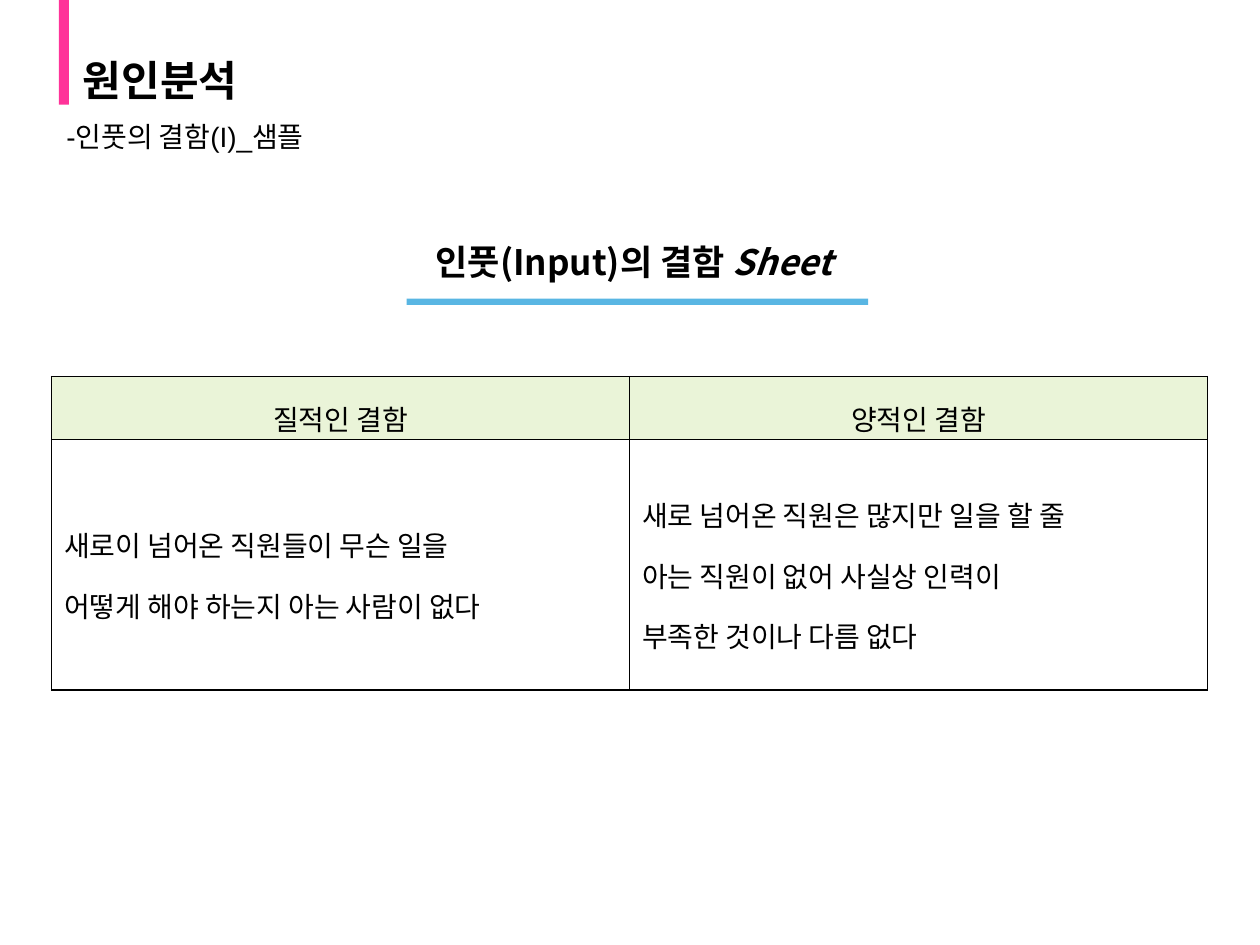
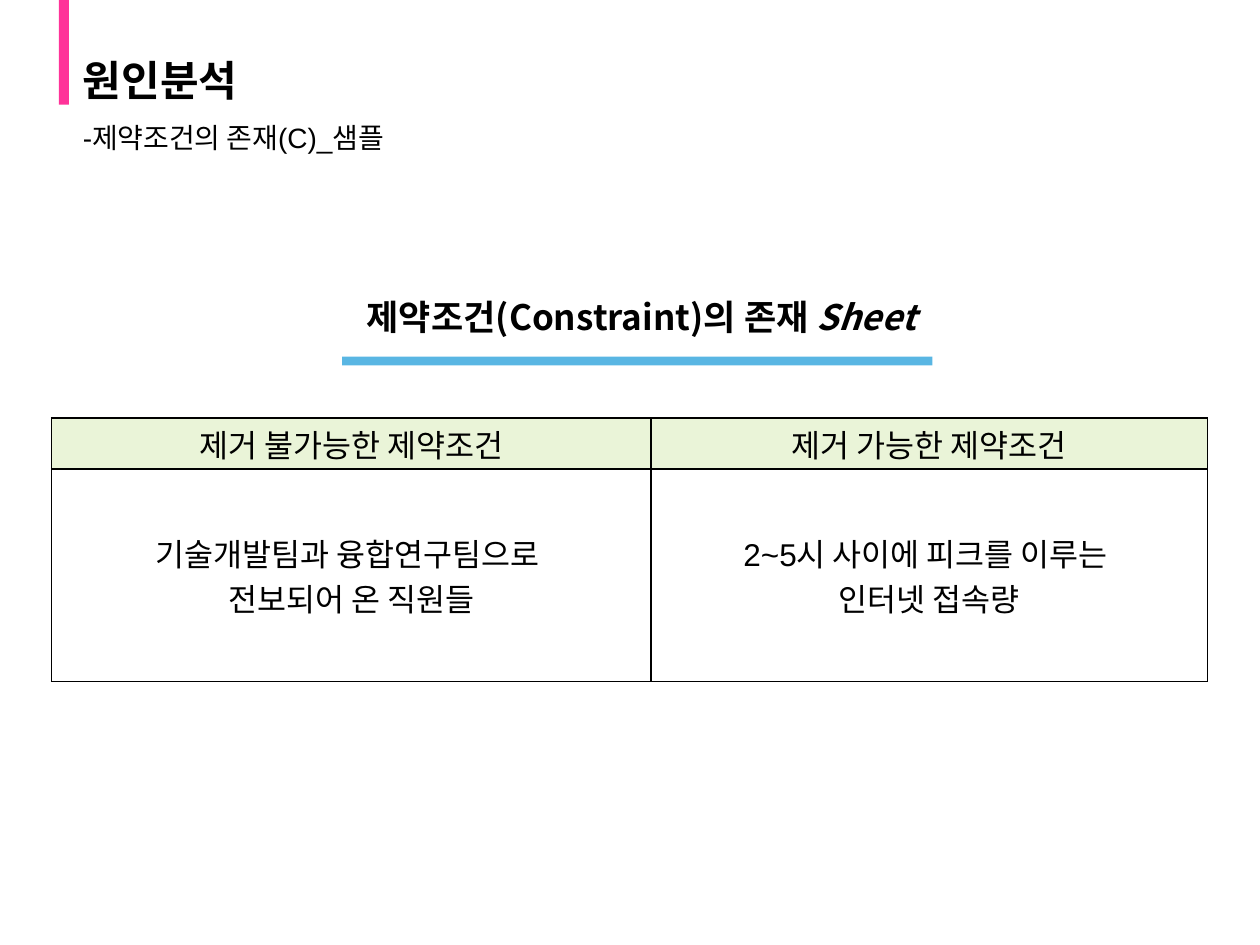
"""Build two cause analysis sample sheets, each with a heading and a two-column table."""
from lxml import etree
from pptx import Presentation
from pptx.dml.color import RGBColor
from pptx.enum.shapes import MSO_SHAPE
from pptx.enum.text import MSO_ANCHOR, PP_ALIGN
from pptx.oxml.ns import qn
from pptx.util import Cm, Pt

RECT = MSO_SHAPE.RECTANGLE
MIDDLE, TOP = MSO_ANCHOR.MIDDLE, MSO_ANCHOR.TOP
LEFT, CENTER, JUSTIFY = PP_ALIGN.LEFT, PP_ALIGN.CENTER, PP_ALIGN.JUSTIFY
BLACK, PINK, BLUE, GREEN = "000000", "FF3399", "59B6E3", "99CA3C"
NOTO, ARIAL = "Noto Sans CJK KR", "Arial"

SHEETS = [
    dict(
        subtitle="-인풋의 결함(I)_샘플", subtitle_at=(1.09, 2.36),
        heading=" 인풋(Input)의 결함 ", heading_at=(6.1, 4.72),
        rule=(8.2, 6.02, 9.3, 0.13),
        table_top=7.59, cols=(11.65, 11.65), rows=(1.27, 5.05),
        size=16, spacing=1.5, header_font=ARIAL, body_align=LEFT,
        cells=[
            [["질적인 결함"], ["양적인 결함"]],
            [["새로이 넘어온 직원들이 무슨 일을", "어떻게 해야 하는지 아는 사람이 없다"],
             ["새로 넘어온 직원은 많지만 일을 할 줄", "아는 직원이 없어 사실상 인력이",
              "부족한 것이나 다름 없다"]],
        ],
    ),
    dict(
        subtitle="-제약조건의 존재(C)_샘플", subtitle_at=(1.42, 2.39),
        heading=" 제약조건(Constraint)의 존재 ", heading_at=(6.25, 5.84),
        rule=(6.9, 7.19, 11.9, 0.18),
        table_top=8.43, cols=(12.08, 11.22), rows=(1.02, 4.29),
        size=18, spacing=1, header_font=NOTO, body_align=CENTER,
        cells=[
            [["제거 불가능한 제약조건"], ["제거 가능한 제약조건"]],
            [["기술개발팀과 융합연구팀으로 ", "전보되어 온 직원들"],
             ["2~5시 사이에 피크를 이루는 ", "인터넷 접속량"]],
        ],
    ),
]


def color(fmt, value):
    """Give a fill a solid colour."""
    fmt.solid()
    fmt.fore_color.rgb = RGBColor.from_string(value)


def add_run(p, text, size, font, bold=False, italic=False):
    """Append a black run with Latin and East Asian fonts."""
    r = p.add_run()
    r.text = text
    r.font.size, r.font.name = Pt(size), font
    r.font.bold, r.font.italic = bold, italic
    color(r.font.fill, BLACK)
    ea = etree.SubElement(r.font._element, qn("a:ea"))
    ea.set("typeface", NOTO)


prs = Presentation()
prs.slide_width, prs.slide_height = Cm(25.4), Cm(19.05)

for sheet in SHEETS:
    s = prs.slides.add_slide(prs.slide_layouts[6])

    for box, fill in [((1.19, 0, 0.2, 2.11), PINK), (sheet["rule"], BLUE)]:
        sp = s.shapes.add_shape(RECT, *map(Cm, box))
        sp.shadow.inherit = False
        color(sp.fill, fill)
        sp.line.fill.background()

    texts = [
        ((1.42, 1.07, 18.21, 1.19), MIDDLE, LEFT, 10, 0.9,
         [("원인분석", 24, NOTO, True)]),
        ((*sheet["subtitle_at"], 22.48, 2.49), TOP, JUSTIFY, 10, 0.9,
         [(sheet["subtitle"], 16, ARIAL)]),
        ((*sheet["heading_at"], 13.2, 1.12), TOP, CENTER, 0, 1,
         [(sheet["heading"], 20, NOTO, True), ("Sheet", 20, NOTO, True, True)]),
    ]
    for box, anchor, align, before, spacing, runs in texts:
        tf = s.shapes.add_textbox(*map(Cm, box)).text_frame
        tf.word_wrap = True
        tf.vertical_anchor = anchor
        p = tf.paragraphs[0]
        p.alignment, p.line_spacing, p.space_before = align, spacing, Pt(before)
        for run in runs:
            add_run(p, *run)

    cols, rows = sheet["cols"], sheet["rows"]
    table = s.shapes.add_table(
        len(rows), len(cols), Cm(1.04), Cm(sheet["table_top"]), Cm(sum(cols)), Cm(sum(rows))
    ).table
    table.first_row = table.horz_banding = False
    for column, width in zip(table.columns, cols):
        column.width = Cm(width)
    for i, (row, height) in enumerate(zip(table.rows, rows)):
        row.height = Cm(height)
        for cell, lines in zip(row.cells, sheet["cells"][i]):
            is_header = i == 0
            cell.vertical_anchor = MIDDLE
            tcPr = cell._tc.get_or_add_tcPr()
            for side in ("a:lnL", "a:lnR", "a:lnT", "a:lnB"):
                ln = etree.SubElement(tcPr, qn(side), w=str(Pt(1)))
                line_fill = etree.SubElement(ln, qn("a:solidFill"))
                etree.SubElement(line_fill, qn("a:srgbClr"), val=BLACK)
            if is_header:
                cell.margin_top = cell.margin_bottom = Cm(0.03)
                color(cell.fill, GREEN)
                tint = tcPr.find(qn("a:solidFill")).find(qn("a:srgbClr"))
                etree.SubElement(tint, qn("a:alpha"), val="20000")
            else:
                cell.fill.background()
            tf = cell.text_frame
            for n, line in enumerate(lines):
                p = tf.add_paragraph() if n else tf.paragraphs[0]
                p.alignment = CENTER if is_header else sheet["body_align"]
                p.line_spacing = sheet["spacing"]
                add_run(p, line, sheet["size"], sheet["header_font"] if is_header else ARIAL)

prs.save("out.pptx")
